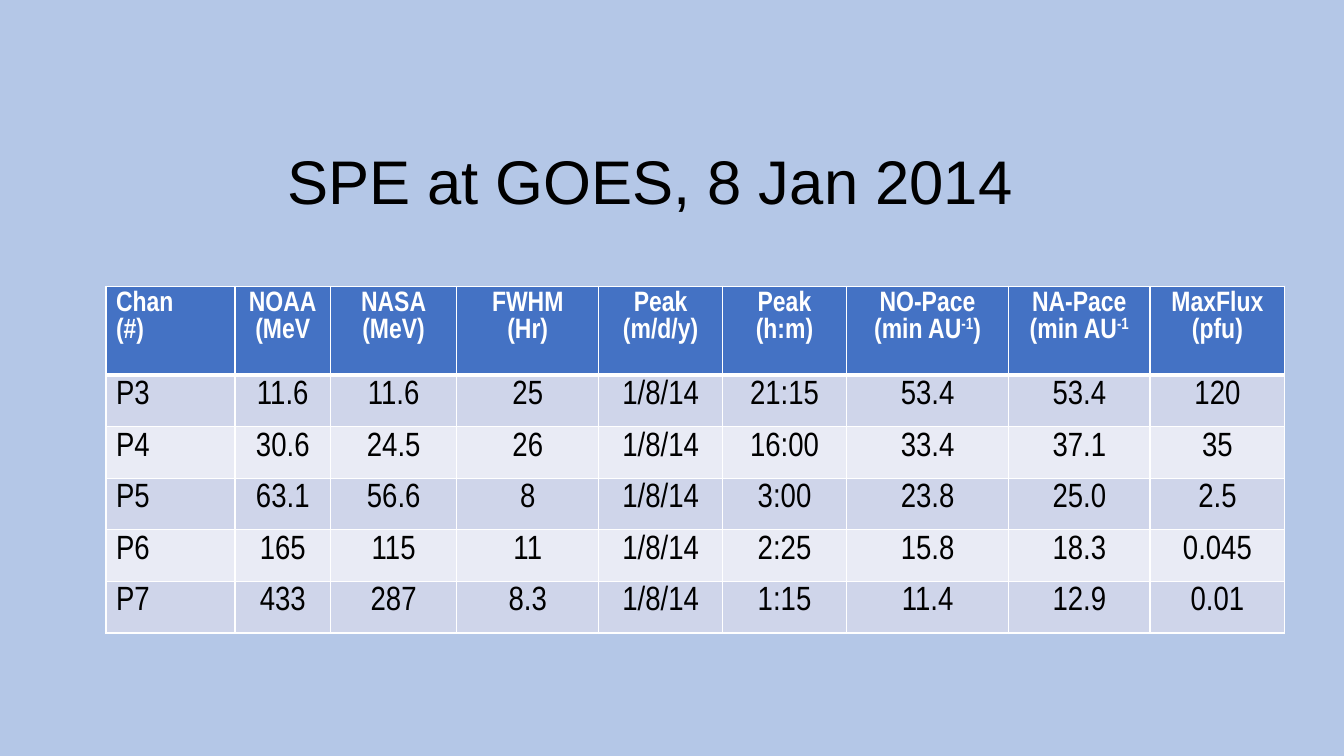
import pptx
import pptx.util
import pptx.dml.color
import pptx.enum.text
import pptx.oxml
import pptx.oxml.ns

Cm = pptx.util.Cm
Pt = pptx.util.Pt
ALIGN = pptx.enum.text.PP_ALIGN
ANCHOR = pptx.enum.text.MSO_ANCHOR

HUES = {
    "back": "B4C7E7",
    "head": "4472C4",
    "odd": "CFD5EA",
    "even": "E9EBF5",
    "white": "FFFFFF",
    "black": "000000",
}
WIDTHS = [3.25, 2.41, 3.18, 3.58, 3.12, 3.12, 4.09, 3.56, 3.4]
HEADS = [
    "Chan\n(#)", "NOAA\n(MeV", "NASA\n(MeV)", "FWHM\n(Hr)",
    "Peak\n(m/d/y)", "Peak\n(h:m)", "NO-Pace\n(min AU^-1^)",
    "NA-Pace\n(min AU^-1", "MaxFlux\n(pfu)",
]
ROWS = [
    ["P3", "11.6", "11.6", "25", "1/8/14", "21:15", "53.4", "53.4", "120"],
    ["P4", "30.6", "24.5", "26", "1/8/14", "16:00", "33.4", "37.1", "35"],
    ["P5", "63.1", "56.6", "8", "1/8/14", "3:00", "23.8", "25.0", "2.5"],
    ["P6", "165", "115", "11", "1/8/14", "2:25", "15.8", "18.3", "0.045"],
    ["P7", "433", "287", "8.3", "1/8/14", "1:15", "11.4", "12.9", "0.01"],
]


def hue(name):
    return pptx.dml.color.RGBColor.from_string(HUES[name])


def write(frame, text, size=24, font="Arial Narrow", color="black",
          bold=False, align=ALIGN.LEFT, space=None):
    for i, line in enumerate(text.split("\n")):
        para = frame.paragraphs[0] if i == 0 else frame.add_paragraph()
        para.alignment = align
        if space:
            para.line_spacing = space
        for j, part in enumerate(line.split("^")):
            if not part:
                continue
            run = para.add_run()
            run.text = part
            run.font.size = Pt(size)
            run.font.name = font
            run.font.bold = bold
            run.font.color.rgb = hue(color)
            if j % 2:
                run._r.get_or_add_rPr().set("baseline", "30000")


def edge(cell, side, width):
    space = pptx.oxml.ns.nsdecls("a")
    line = pptx.oxml.parse_xml(
        f'<a:ln{side} {space} w="{Pt(width)}"><a:solidFill>'
        f'<a:srgbClr val="{HUES["white"]}"/></a:solidFill></a:ln{side}>')
    cell._tc.get_or_add_tcPr().append(line)


def style(cell, row):
    edges = {"L": 1, "R": 1, "T": 3 if row == 1 else 1, "B": 3 if row == 0 else 1}
    for side, width in edges.items():
        edge(cell, side, width)
    cell.fill.solid()
    cell.fill.fore_color.rgb = hue("head" if row == 0 else "odd" if row % 2 else "even")


def add_title(slide, text):
    box = slide.shapes.add_textbox(Cm(6.99), Cm(2.82), Cm(19.05), Cm(3.68))
    frame = box.text_frame
    frame.word_wrap = True
    frame.vertical_anchor = ANCHOR.MIDDLE
    write(frame, text, size=44, font="Arial", space=0.9)


def add_grid(slide, heads, rows):
    high = [2.24] + [1.3] * len(rows)
    shape = slide.shapes.add_table(len(high), len(WIDTHS), Cm(2.67), Cm(7.21),
                                   Cm(sum(WIDTHS)), Cm(sum(high)))
    table = shape.table
    table.horz_banding = False
    for col, width in zip(table.columns, WIDTHS):
        col.width = Cm(width)
    for row, height in zip(table.rows, high):
        row.height = Cm(height)
    for r, texts in enumerate([heads] + rows):
        look = {"size": 20, "color": "white", "bold": True} if r == 0 else {}
        for c, text in enumerate(texts):
            cell = table.cell(r, c)
            style(cell, r)
            write(cell.text_frame, text,
                  align=ALIGN.CENTER if c else ALIGN.LEFT, **look)


def main():
    deck = pptx.Presentation()
    deck.slide_width = Cm(33.87)
    deck.slide_height = Cm(19.05)
    slide = deck.slides.add_slide(deck.slide_layouts[6])
    slide.background.fill.solid()
    slide.background.fill.fore_color.rgb = hue("back")
    add_title(slide, "SPE at GOES, 8 Jan 2014")
    add_grid(slide, HEADS, ROWS)
    deck.save("out.pptx")


if __name__ == "__main__":
    main()
